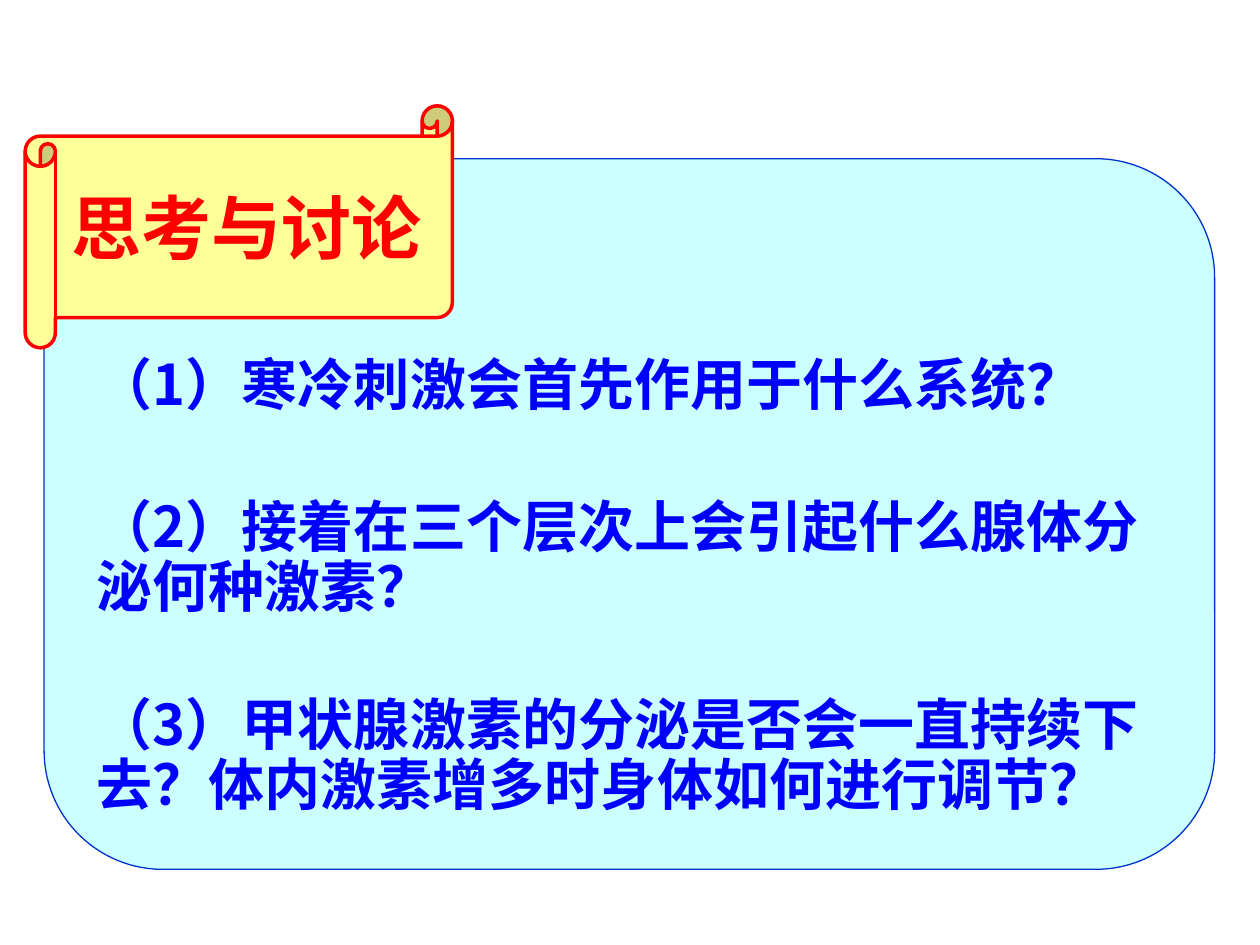
from lxml import etree
from pptx import Presentation
from pptx.dml.color import RGBColor
from pptx.enum.lang import MSO_LANGUAGE_ID
from pptx.enum.shapes import MSO_SHAPE
from pptx.enum.text import MSO_ANCHOR, PP_ALIGN
from pptx.oxml.ns import qn
from pptx.util import Inches, Pt

ROUND = MSO_SHAPE.ROUNDED_RECTANGLE
SCROLL = MSO_SHAPE.HORIZONTAL_SCROLL
MIDDLE = MSO_ANCHOR.MIDDLE
CENTER = PP_ALIGN.CENTER
CHINESE = MSO_LANGUAGE_ID.SIMPLIFIED_CHINESE
HAN = "Noto Sans CJK SC"
HEX = {"panel": "CCFFFF", "edge": "0033CC", "scroll": "FFFF99",
       "title": "FF0000", "body": "0000FF"}
RGB = {name: RGBColor.from_string(code) for name, code in HEX.items()}

deck = Presentation()
deck.slide_width, deck.slide_height = Inches(10), Inches(7.5)
slide = deck.slides.add_slide(deck.slide_layouts[6])


def draw(kind, box, adjust, fill, line, width):
    shape = slide.shapes.add_shape(kind, *map(Inches, box))
    shape.adjustments[0] = adjust
    shape.shadow.inherit = False
    shape.fill.solid()
    shape.fill.fore_color.rgb = RGB[fill]
    shape.line.color.rgb = RGB[line]
    shape.line.width = Pt(width)
    return shape


def write(para, text, color, size, face):
    run = para.add_run()
    run.text = text
    look = {"size": Pt(size), "bold": True, "name": face, "language_id": CHINESE}
    for key, value in look.items():
        setattr(run.font, key, value)
    run.font.color.rgb = RGB[color]
    # East Asian typeface follows the Latin one
    latin = run.font._element.find(qn("a:latin"))
    east = etree.Element(qn("a:ea"), typeface=HAN)
    latin.addnext(east)


# Panel behind the questions
draw(ROUND, (0.35, 1.26, 9.29, 5.64), 0.167, "panel", "edge", 0.75)

# Scroll with the heading
scroll = draw(SCROLL, (0.2, 0.84, 3.39, 1.92), 0.125, "scroll", "title", 2)
frame = scroll.text_frame
frame.word_wrap = False
frame.vertical_anchor = MIDDLE
head = frame.paragraphs[0]
head.alignment = CENTER
write(head, "思考与讨论", "title", 40, "Times New Roman")

# Questions: top, width, height, line spacing, wording
asks = [
    (2.83, 8.9, 0.55, 0.8, "（1）寒冷刺激会首先作用于什么系统？"),
    (3.91, 8.67, 1.26, 0.9, "（2）接着在三个层次上会引起什么腺体分泌何种激素？"),
    (5.48, 8.9, 1.26, 0.9,
     "（3）甲状腺激素的分泌是否会一直持续下去？体内激素增多时身体如何进行调节？"),
]
for top, width, height, space, text in asks:
    box = slide.shapes.add_textbox(*map(Inches, (0.67, top, width, height)))
    box.text_frame.word_wrap = True
    para = box.text_frame.paragraphs[0]
    para.line_spacing = space
    write(para, text, "body", 32, HAN)

deck.save("out.pptx")
